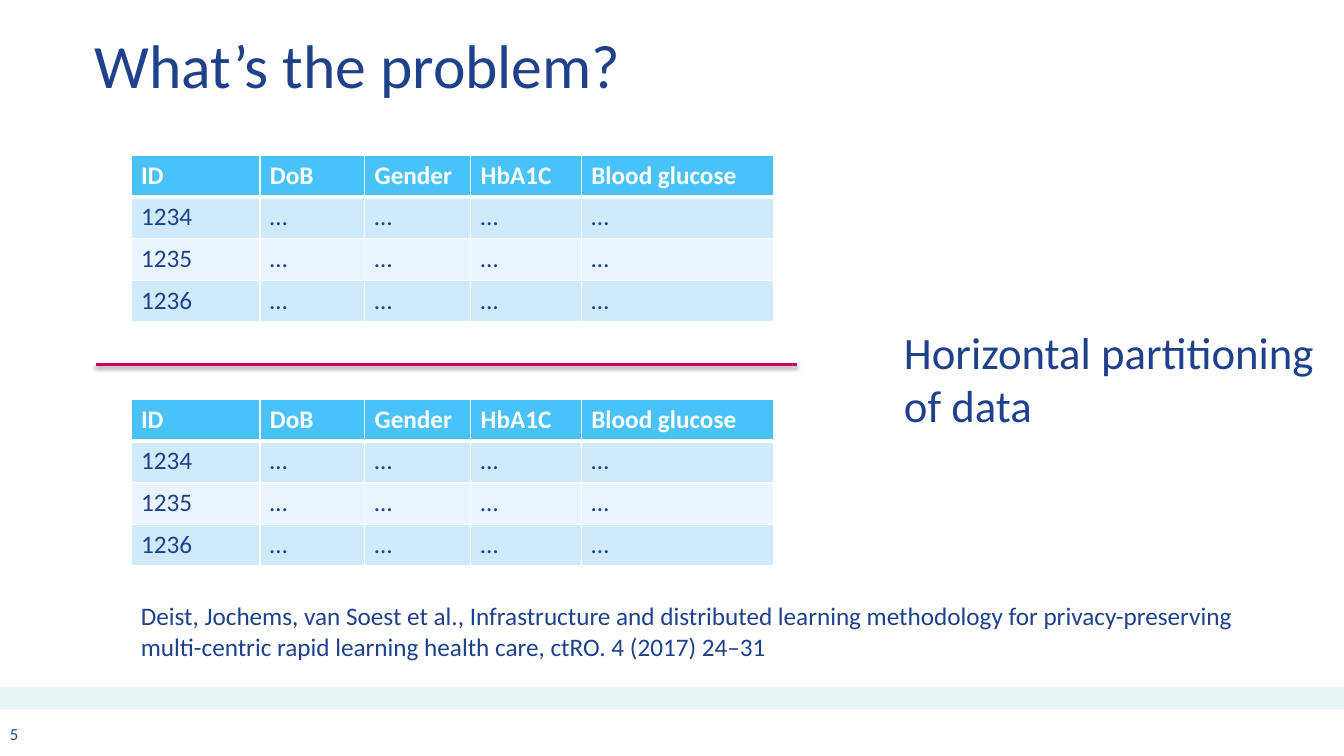
from pptx import Presentation
from pptx.dml.color import RGBColor
from pptx.enum.shapes import MSO_CONNECTOR, MSO_SHAPE
from pptx.enum.text import MSO_ANCHOR
from pptx.oxml import parse_xml
from pptx.oxml.ns import nsdecls
from pptx.util import Cm, Pt

HEADINGS = ["ID", "DoB", "Gender", "HbA1C", "Blood glucose"]
PATIENTS = ["1234", "1235", "1236"]
RECORDS = [HEADINGS] + [[patient] + ["…"] * 4 for patient in PATIENTS]

TEXTS = [
    {"text": "5", "at": (0, 18.11, 1.04, 0.76), "size": "number", "wrap": False},
    {"text": "What’s the problem?", "at": (2.13, 0.03, 30.05, 3.18), "size": "title",
     "anchor": MSO_ANCHOR.MIDDLE},
    {"text": "Horizontal partitioning of data", "at": (22.53, 8.05, 10.85, 3), "size": "message"},
    {"text": "Deist, Jochems, van Soest et al., Infrastructure and distributed learning "
             "methodology for privacy-preserving multi-centric rapid learning health care, "
             "ctRO. 4 (2017) 24–31", "at": (3.3, 15.01, 28.6, 1.8), "size": "body"},
]

THEME = {
    "font": "Calibri",
    "sizes": {"number": 12, "title": 44, "message": 32, "body": 18},
    "colours": {"ink": "1F418B", "white": "FFFFFF", "header": "48C2F9",
                "bands": ["CFE9FD", "E9F4FE"], "divider": "CC006A", "strip": "E5F5F3"},
}
COLOURS = THEME["colours"]

SLIDE_WIDTH, SLIDE_HEIGHT = 33.87, 19.05
STRIP = (0, 17.32, SLIDE_WIDTH, 0.56)
TABLE_LEFT, TABLE_TOPS = 3.3, (3.91, 10.06)
COLUMN_WIDTHS = [3.25, 2.64, 2.67, 2.79, 4.85]
ROW_HEIGHT = 1.05
DIVIDER = (2.41, 9.19, 20.09, 9.19)


def set_values(target, values):
    for name, value in values.items():
        setattr(target, name, value)


def lengths(numbers):
    return [Cm(number) for number in numbers]


def write(frame, text, size, colour, bold=False):
    span = frame.paragraphs[0].add_run()
    span.text = text
    set_values(span.font, {"name": THEME["font"], "size": Pt(THEME["sizes"][size]), "bold": bold})
    span.font.color.rgb = RGBColor.from_string(colour)


def paint(target, colour):
    target.fill.solid()
    target.fill.fore_color.rgb = RGBColor.from_string(colour)


def add_borders(cell, widths):
    properties = cell._tc.get_or_add_tcPr()
    for position, (side, width) in enumerate(widths.items()):
        properties.insert(position, parse_xml(
            f'<a:ln{side} {nsdecls("a")} w="{Pt(width)}"><a:solidFill>'
            f'<a:srgbClr val="{COLOURS["white"]}"/></a:solidFill></a:ln{side}>'))


def add_records(page, top):
    area = lengths((TABLE_LEFT, top, sum(COLUMN_WIDTHS), ROW_HEIGHT * len(RECORDS)))
    table = page.shapes.add_table(len(RECORDS), len(HEADINGS), *area).table
    for column, width in zip(table.columns, COLUMN_WIDTHS):
        column.width = Cm(width)
    for index, record in enumerate(RECORDS):
        table.rows[index].height = Cm(ROW_HEIGHT)
        header = index == 0
        fill = COLOURS["header"] if header else COLOURS["bands"][(index - 1) % 2]
        ink = COLOURS["white"] if header else COLOURS["ink"]
        borders = {"L": 1, "R": 1, "T": 3 if index == 1 else 1, "B": 3 if header else 1}
        for cell, text in zip(table.rows[index].cells, record):
            write(cell.text_frame, text, "body", ink, header)
            paint(cell, fill)
            add_borders(cell, borders)


def add_divider(page):
    divider = page.shapes.add_connector(MSO_CONNECTOR.STRAIGHT, *lengths(DIVIDER))
    divider.line.width = Pt(2)
    divider.line.color.rgb = RGBColor.from_string(COLOURS["divider"])
    divider._element.spPr.append(parse_xml(
        f'<a:effectLst {nsdecls("a")}><a:outerShdw blurRad="{Pt(3.1)}" dist="{Pt(1.6)}" '
        'dir="5400000" rotWithShape="0"><a:srgbClr val="000000"><a:alpha val="38000"/>'
        '</a:srgbClr></a:outerShdw></a:effectLst>'))


def main():
    deck = Presentation()
    set_values(deck, {"slide_width": Cm(SLIDE_WIDTH), "slide_height": Cm(SLIDE_HEIGHT)})
    page = deck.slides.add_slide(deck.slide_layouts[6])

    strip = page.shapes.add_shape(MSO_SHAPE.RECTANGLE, *lengths(STRIP))
    strip.shadow.inherit = False
    paint(strip, COLOURS["strip"])
    strip.line.fill.background()

    for top in TABLE_TOPS:
        add_records(page, top)
    add_divider(page)

    for item in TEXTS:
        box = page.shapes.add_textbox(*lengths(item["at"]))
        set_values(box.text_frame, {"word_wrap": item.get("wrap", True),
                                    "vertical_anchor": item.get("anchor", MSO_ANCHOR.TOP)})
        write(box.text_frame, item["text"], item["size"], COLOURS["ink"])

    deck.save("out.pptx")


if __name__ == "__main__":
    main()
